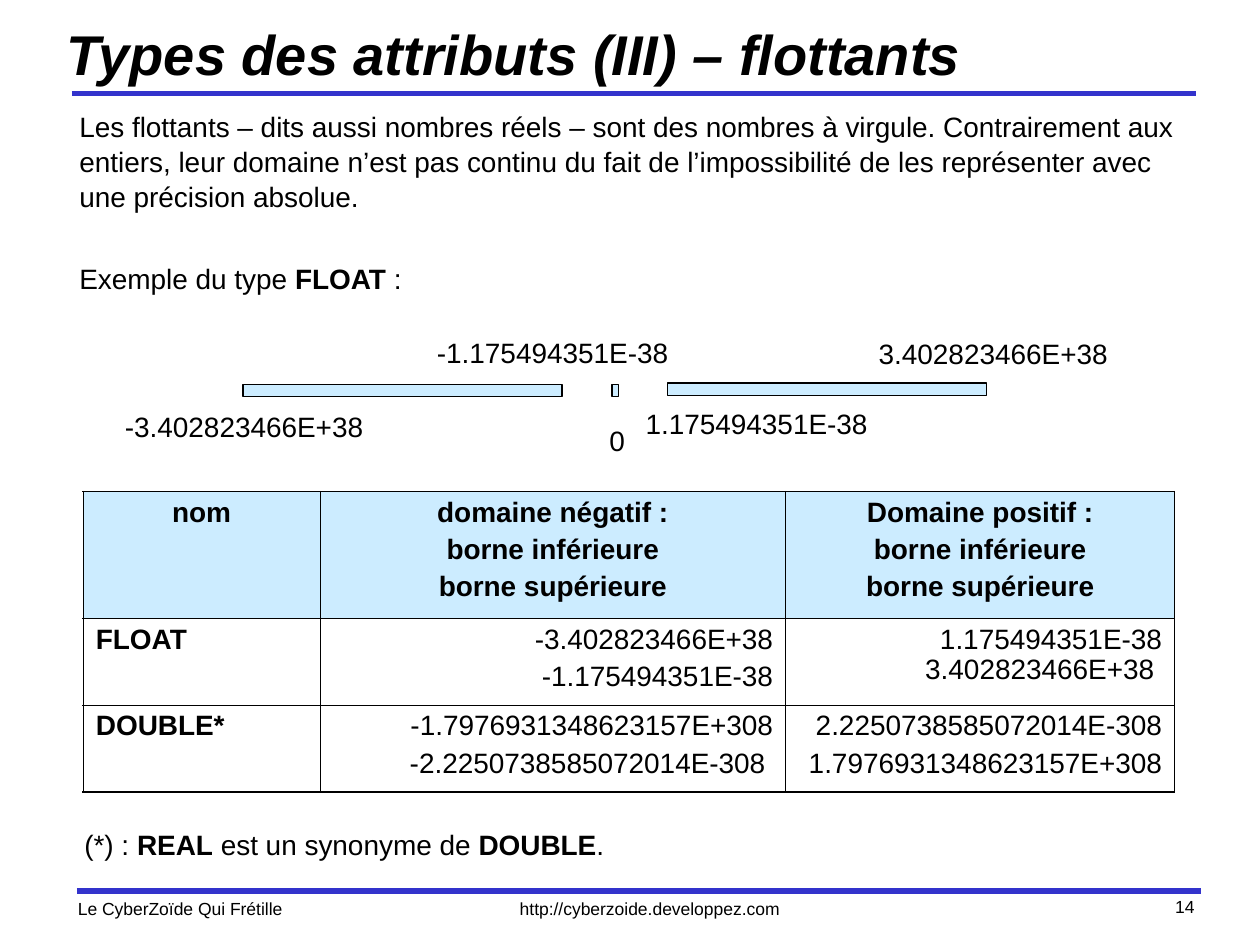
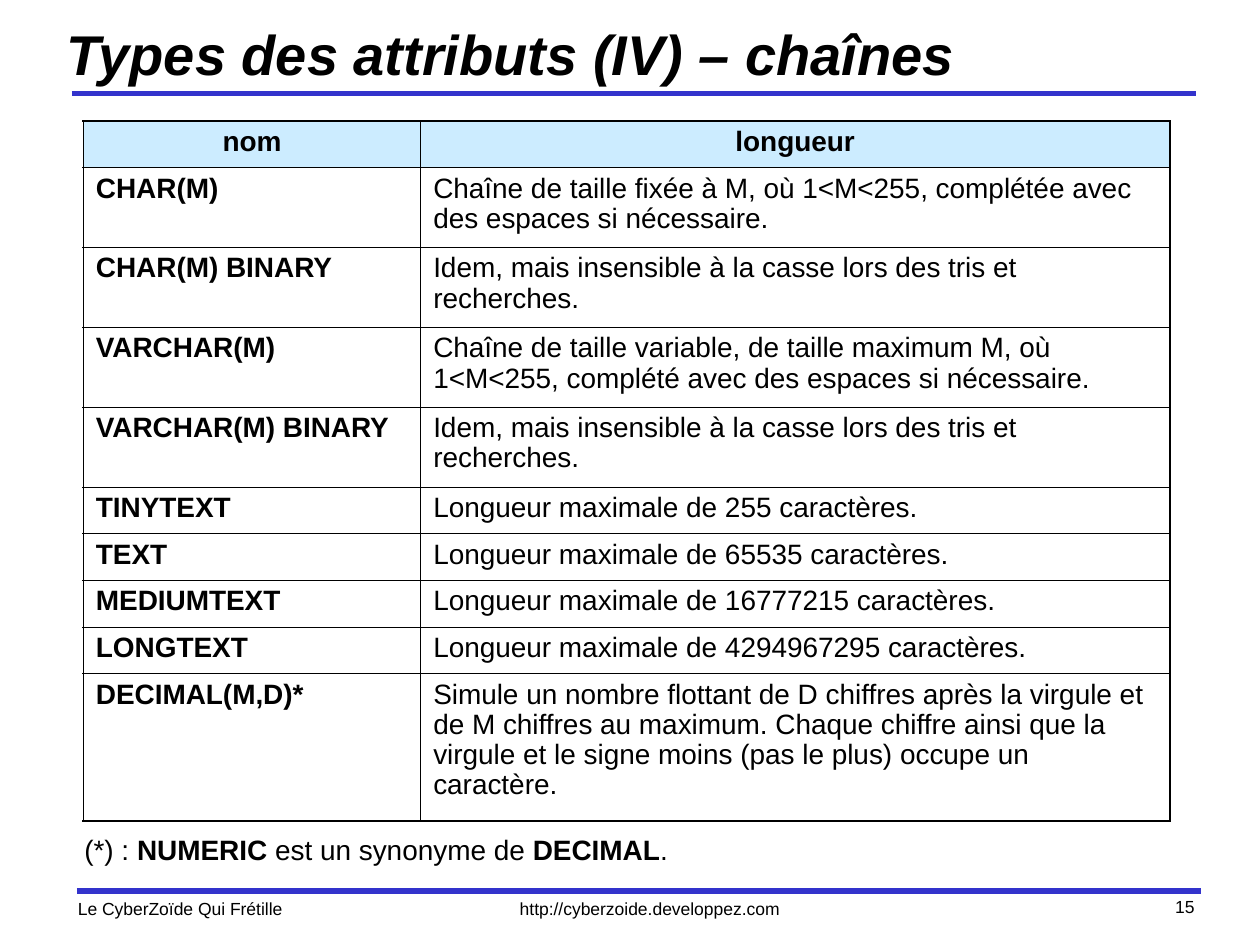
from lxml import etree
from pptx import Presentation
from pptx import util as u
from pptx.dml.color import RGBColor
from pptx.enum import shapes, text
from pptx.oxml.ns import qn

LEFT, CENTER, RIGHT = text.PP_ALIGN.LEFT, text.PP_ALIGN.CENTER, text.PP_ALIGN.RIGHT


def color(value):
    """Turn a hex string into a colour."""
    return RGBColor.from_string(value)


class Course:
    """Hold the style of the course and the page being filled."""

    font = "Arial"
    ink, rule_blue, pale_blue = "000000", "3333CC", "CCECFF"
    body_size, footer_size, title_size = 16, 10, 32
    inner_border, outer_border = 0.45, 1.08

    def __init__(self):
        """Start an empty deck."""
        self.deck = Presentation()
        self.deck.slide_width, self.deck.slide_height = u.Cm(25.4), u.Cm(19.05)
        self.page = None

    def new_page(self, title, number):
        """Add a page with its title, rules and footer."""
        self.page = self.deck.slides.add_slide(self.deck.slide_layouts[6])
        self.rule(1.55, 17.96)
        self.rule(1.45, 1.88)
        self.label(9.27, 17.98, 7.65, 0.69, "http://cyberzoide.developpez.com", CENTER, self.footer_size)
        self.label(1.32, 17.98, 7.65, 0.69, "Le CyberZoïde Qui Frétille", size=self.footer_size)
        self.label(19.05, 17.93, 5.28, 0.84, str(number), RIGHT, self.footer_size)
        box = self.label(1.09, 0.23, 22.76, 1.7, f"|{title}|", size=self.title_size)
        box.text_frame.vertical_anchor = text.MSO_ANCHOR.MIDDLE
        for span in box.text_frame.paragraphs[0].runs:
            span.font.italic = True

    def rule(self, left, top):
        """Draw a wide blue rule."""
        line = self.page.shapes.add_connector(
            shapes.MSO_CONNECTOR.STRAIGHT, u.Cm(left), u.Cm(top), u.Cm(left + 22.66), u.Cm(top))
        line.line.color.rgb = color(self.rule_blue)
        line.line.width = u.Pt(3)
        etree.SubElement(line._element.spPr, qn("a:effectLst"))

    def fill_text(self, frame, lines, align=LEFT, size=body_size, before=4, spacing=None):
        """Add one paragraph a line; text between bars is bold."""
        for index, line in enumerate(lines):
            para = frame.add_paragraph() if index else frame.paragraphs[0]
            para.alignment = align
            if index:
                para.space_before = u.Pt(before)
            if spacing:
                para.line_spacing = spacing
            for part, words in enumerate(line.split("|")):
                if words:
                    span = para.add_run()
                    span.text = words
                    span.font.name, span.font.size = self.font, u.Pt(size)
                    span.font.bold = part % 2 == 1
                    span.font.color.rgb = color(self.ink)

    def label(self, left, top, width, height, words, align=LEFT, size=body_size, **spacing):
        """Add a text box, one paragraph for each line of words."""
        box = self.page.shapes.add_textbox(u.Cm(left), u.Cm(top), u.Cm(width), u.Cm(height))
        box.text_frame.word_wrap = True
        self.fill_text(box.text_frame, words.split("\n"), align, size, **spacing)
        return box

    def bar(self, left, top, width):
        """Draw a pale bar on the number axis."""
        bar = self.page.shapes.add_shape(
            shapes.MSO_SHAPE.RECTANGLE, u.Cm(left), u.Cm(top), u.Cm(width), u.Cm(0.25))
        bar.shadow.inherit = False
        bar.fill.solid()
        bar.fill.fore_color.rgb = color(self.pale_blue)
        bar.line.color.rgb = color(self.ink)
        bar.line.width = u.Pt(0.75)

    def border(self, cell, outer_sides):
        """Line the four sides of a cell, thicker on the outside."""
        properties = cell._tc.get_or_add_tcPr()
        for index, (side, outer) in enumerate(outer_sides.items()):
            width = u.Pt(self.outer_border if outer else self.inner_border)
            line = etree.Element(qn(f"a:{side}"), w=str(int(width)))
            fill = etree.SubElement(line, qn("a:solidFill"))
            etree.SubElement(fill, qn("a:srgbClr"), val=self.ink)
            properties.insert(index, line)

    def table(self, top, widths, heights, rows, value_align=LEFT):
        """Add a table with a pale header row and bold names."""
        last_row, last_column = len(rows) - 1, len(widths) - 1
        grid = self.page.shapes.add_table(
            len(rows), len(widths), u.Cm(1.68), u.Cm(top), u.Cm(sum(widths)), u.Cm(sum(heights))).table
        grid.first_row = grid.horz_banding = False
        for column, width in zip(grid.columns, widths):
            column.width = u.Cm(width)
        for r, (row, height) in enumerate(zip(rows, heights)):
            grid.rows[r].height = u.Cm(height)
            for c, words in enumerate(row):
                cell = grid.cell(r, c)
                lines = words.split("\n")
                if r == 0 or c == 0:
                    lines = [f"|{line}|" for line in lines]
                align = CENTER if r == 0 else value_align if c else LEFT
                self.fill_text(cell.text_frame, lines, align, spacing=0.97)
                if r == 0:
                    cell.fill.solid()
                    cell.fill.fore_color.rgb = color(self.pale_blue)
                else:
                    cell.fill.background()
                self.border(cell, {"lnL": c == 0, "lnR": c == last_column,
                                   "lnT": r == 0, "lnB": r == last_row})

    def synonym(self, top, name, target):
        """Add the footnote that gives a synonym of a type."""
        self.label(1.45, top, 21.92, 0.94, f"(*) : |{name}| est un synonyme de |{target}|.")


def floats(course):
    """Build the page on floating-point types."""
    course.new_page("Types des attributs (III) – flottants", 14)
    course.label(
        1.35, 2.06, 22.78, 4.88,
        "Les flottants – dits aussi nombres réels – sont des nombres à virgule. Contrairement aux "
        "entiers, leur domaine n’est pas continu du fait de l’impossibilité de les représenter avec "
        "une précision absolue.\nExemple du type |FLOAT| :",
        before=27, spacing=1.04)
    course.table(9.91, [4.77, 9.39, 7.84], [2.56, 1.75, 1.75], [
        ["nom", "domaine négatif :\nborne inférieure\nborne supérieure",
         "Domaine positif :\nborne inférieure\nborne supérieure"],
        ["FLOAT", "-3.402823466E+38\n-1.175494351E-38", "1.175494351E-38 3.402823466E+38 "],
        ["DOUBLE*", "-1.7976931348623157E+308\n-2.2250738585072014E-308 ",
         "2.2250738585072014E-308\n1.7976931348623157E+308"],
    ], RIGHT)
    for left, top, width in [(4.9, 7.75, 6.43), (13.46, 7.72, 6.43), (12.34, 7.75, 0.13)]:
        course.bar(left, top, width)
    for left, top, width, bound in [
        (11.79, 8.41, 1.3, "0"),
        (2.24, 8.13, 5.36, "-3.402823466E+38 "),
        (8.46, 6.63, 5.36, "-1.175494351E-38"),
        (12.65, 8.08, 5.36, "1.175494351E-38 "),
        (17.42, 6.65, 5.36, "3.402823466E+38 "),
    ]:
        course.label(left, top, width, 0.94, bound, CENTER)
    course.synonym(16.56, "REAL", "DOUBLE")


def strings(course):
    """Build the page on string types."""
    course.new_page("Types des attributs (IV) – chaînes", 15)
    same = "Idem, mais insensible à la casse lors des tris et recherches."
    limits = {"TINYTEXT": 255, "TEXT": 65535, "MEDIUMTEXT": 16777215, "LONGTEXT": 4294967295}
    course.table(2.44, [6.8, 15.1], [0.94] + [1.61] * 4 + [0.94] * 4 + [2.97], [
        ["nom", "longueur"],
        ["CHAR(M)", "Chaîne de taille fixée à M, où 1<M<255, complétée avec des espaces si nécessaire."],
        ["CHAR(M) BINARY", same],
        ["VARCHAR(M)", "Chaîne de taille variable, de taille maximum M, où 1<M<255, "
                       "complété avec des espaces si nécessaire."],
        ["VARCHAR(M) BINARY", same],
        *[[name, f"Longueur maximale de {limit} caractères."] for name, limit in limits.items()],
        ["DECIMAL(M,D)*", "Simule un nombre flottant de D chiffres après la virgule et de M chiffres "
                          "au maximum. Chaque chiffre ainsi que la virgule et le signe moins "
                          "(pas le plus) occupe un caractère."],
    ])
    course.synonym(16.66, "NUMERIC", "DECIMAL")


def main():
    """Build and save the deck."""
    course = Course()
    floats(course)
    strings(course)
    course.deck.save("out.pptx")


if __name__ == "__main__":
    main()
